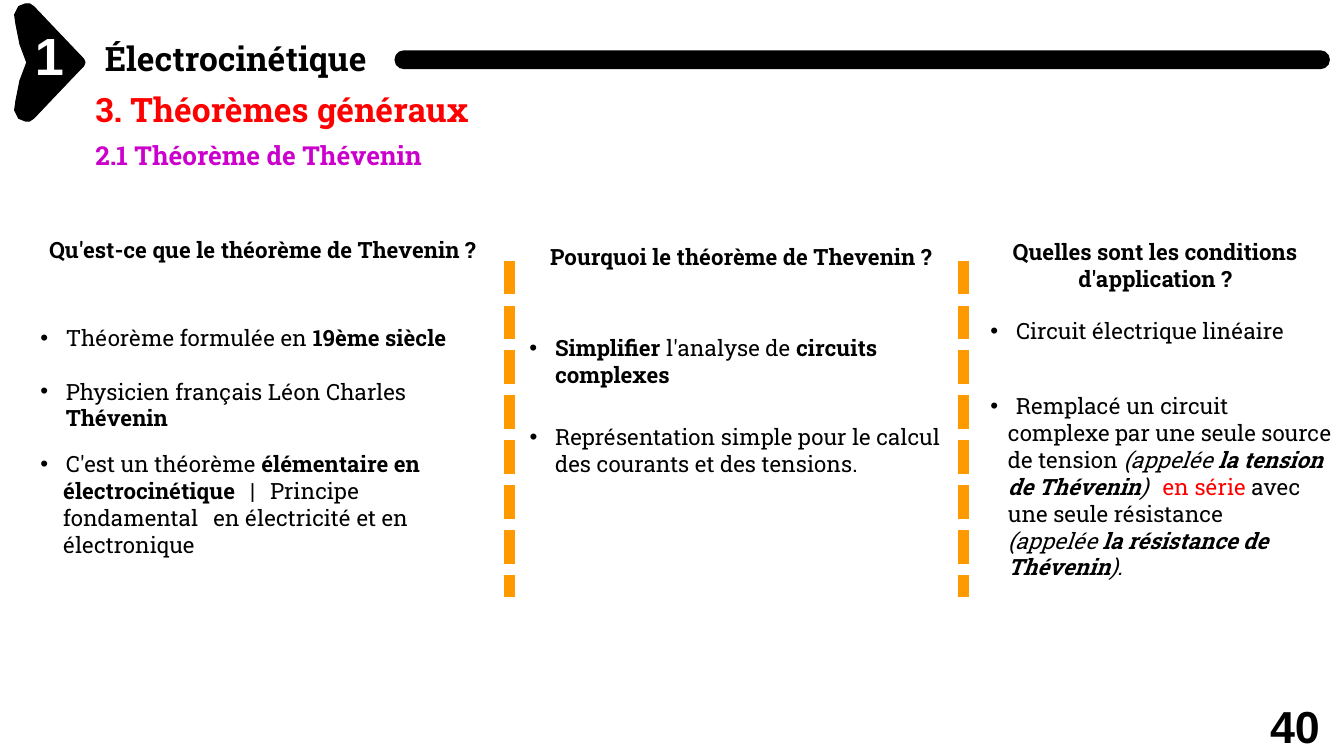
from lxml import etree
from pptx import Presentation
from pptx.dml.color import RGBColor
from pptx.enum import dml, shapes, text
from pptx.oxml.ns import qn
from pptx.util import Inches, Pt

SLAB = "Roboto Slab"
BLACK, WHITE, RED = "000000", "FFFFFF", "FF0000"
PURPLE, ORANGE = "CC00CC", "FF9900"
LEFT, CENTER = text.PP_ALIGN.LEFT, text.PP_ALIGN.CENTER


def rgb(value):
    return RGBColor.from_string(value)


def paint(sp, color, width=0.75):
    sp.shadow.inherit = False
    sp.fill.solid()
    sp.fill.fore_color.rgb = rgb(color)
    sp.line.color.rgb = rgb(color)
    sp.line.width = Pt(width)


def add_bullet(pPr, tabs):
    etree.SubElement(pPr, qn("a:buFont"), typeface="Arial")
    etree.SubElement(pPr, qn("a:buChar"), char="•")
    tab_list = etree.SubElement(pPr, qn("a:tabLst"))
    for tab in tabs:
        etree.SubElement(tab_list, qn("a:tab"), pos=str(Inches(tab)), algn="l")


def add_text(s, box, paragraphs, size=12, color=BLACK, font=SLAB, align=LEFT,
             bold=False, indent=(0.01, 0), bullet=False, tabs=(0.2,), spacing=None):
    sp = s.shapes.add_textbox(*map(Inches, box))
    tf = sp.text_frame
    tf.word_wrap = True
    tf.margin_left = tf.margin_right = tf.margin_bottom = 0
    tf.margin_top = Inches(0.01)
    for i, runs in enumerate(paragraphs):
        p = tf.paragraphs[0] if i == 0 else tf.add_paragraph()
        p.alignment = align
        if spacing:
            p.line_spacing = Pt(spacing)
        pPr = p._p.get_or_add_pPr()
        pPr.set("marL", str(Inches(indent[0])))
        pPr.set("indent", str(Inches(indent[1] if i == 0 else 0)))
        if bullet and i == 0:
            add_bullet(pPr, tabs)
        for content, style in runs:
            r = p.add_run()
            r.text = content
            r.font.name = font
            r.font.size = Pt(size)
            r.font.bold = bold or "b" in style
            r.font.italic = "i" in style
            r.font.color.rgb = rgb(RED if "r" in style else color)
            if "w" in style:
                r._r.get_or_add_rPr().set("spc", "500")
    return sp


def add_polygon(s, x, y, points):
    points = [(Inches(x + px), Inches(y + py)) for px, py in points]
    builder = s.shapes.build_freeform(*points[0], scale=1.0)
    builder.add_line_segments(points[1:], close=True)
    paint(builder.convert_to_shape(), BLACK)


def add_badge(s, x, y, number):
    upper = [(0.08, 0), (0.03, 0.02), (0, 0.08), (0.01, 0.15), (0.04, 0.3),
             (0.1, 0.46), (0.14, 0.57), (0.16, 0.67), (0.17, 0.76), (0.15, 0.83),
             (0.51, 0.46), (0.52, 0.43), (0.51, 0.41), (0.14, 0.02), (0.11, 0)]
    lower = [(px, 0.87 - py) for px, py in upper]
    for outline in (lower, upper):
        add_polygon(s, x, y, outline)
    add_text(s, (x + 0.14, y + 0.13, 0.24, 0.49), [[(number, "")]],
             size=28, color=WHITE, font="Arial", bold=True)


def add_header(s, x, y):
    add_badge(s, x, y, "1")
    titles = [("Électrocinétique", 0.66, 0.24, 18, BLACK),
              ("3. Théorèmes généraux", 0.59, 0.62, 18, RED),
              ("2.1 Théorème de Thévenin", 0.59, 1, 14, PURPLE)]
    for title, dx, dy, size, color in titles:
        add_text(s, (x + dx, y + dy, 5, 0.33), [[(title, "")]],
                 size=size, color=color, bold=True)
    bar = s.shapes.add_shape(shapes.MSO_SHAPE.ROUNDED_RECTANGLE, Inches(x + 2.83),
                             Inches(y + 0.35), Inches(6.95), Inches(0.13))
    bar.adjustments[0] = 0.5
    paint(bar, BLACK)


def add_divider(s, x, y, height):
    line = s.shapes.add_connector(shapes.MSO_CONNECTOR.STRAIGHT, Inches(x), Inches(y),
                                  Inches(x), Inches(y + height))
    line.line.color.rgb = rgb(ORANGE)
    line.line.width = Pt(6)
    line.line.dash_style = dml.MSO_LINE.SQUARE_DOT
    etree.SubElement(line._element.spPr, qn("a:effectLst"))


def add_column(s, x, y, heading, heading_box, bullets):
    dx, width = heading_box
    add_text(s, (x + dx, y, width, 0.42), [[(heading, "")]], align=CENTER, bold=True)
    for dy, width, height, hanging, tabs, paragraphs in bullets:
        add_text(s, (x, y + dy, width, height), paragraphs, bullet=True,
                 indent=(hanging, 0.01 - hanging), tabs=tabs)


def add_columns(s):
    plain = (0.2, (0.2,))
    add_column(s, 0.29, 1.75, "Qu'est-ce que le théorème de Thevenin ?", (-0.03, 3.38), [
        (0.65, 3.19, 0.22, *plain, [[("Théorème formulée en ", ""), ("19ème siècle", "b")]]),
        (1.05, 3.04, 0.42, *plain,
         [[("Physicien français Léon Charles ", ""), ("Thévenin", "b")]]),
        (1.59, 3.3, 1.04, 0.18, (0.18, 0.2),
         [[("\tC'est un théorème ", ""), ("élémentaire en électrocinétique", "b"),
           (" ", "w"), ("|", ""), (" ", "w"), ("Principe fondamental", ""),
           (" ", "w"), ("en électricité et en électronique", "")]]),
    ])
    add_column(s, 3.93, 1.8, "Pourquoi le théorème de Thevenin ?", (0, 3.16), [
        (0.68, 3, 0.42, *plain,
         [[("Simplifier ", "b"), ("l'analyse de ", ""), ("circuits complexes", "b")]]),
        (1.34, 3.19, 0.42, *plain,
         [[("Représentation simple pour le calcul des courants et des tensions.", "")]]),
    ])
    add_column(s, 7.36, 1.76, "Quelles sont les conditions d'application ?", (0.07, 2.32), [
        (0.59, 2.32, 0.22, *plain, [[("Circuit électrique linéaire", "")]]),
        (1.15, 2.57, 1.63, 0.14, (0.14, 0.2),
         [[("\tRemplacé un circuit complexe par une seule source de tension ", ""),
           ("(appelée ", "i"), ("la tension de Thévenin", "bi"), (")", "i"),
           (" ", "w"), ("en série ", "r"), ("avec une seule résistance", "")],
          [("(appelée ", "i"), ("la résistance de Thévenin", "bi"), (").", "i")]]),
    ])
    for x in (3.79, 7.17):
        add_divider(s, x, 1.94, 2.5)


def main():
    prs = Presentation()
    prs.slide_width = Inches(10)
    prs.slide_height = prs.slide_width * 9 // 16
    s = prs.slides.add_slide(prs.slide_layouts[6])
    add_header(s, 0.11, 0.03)
    add_columns(s)
    add_text(s, (9.41, 5.25, 0.59, 0.34), [[("40", "")]], size=24, font="Arial",
             bold=True, indent=(0.04, 0), spacing=24.3)
    prs.save("out.pptx")


if __name__ == "__main__":
    main()
